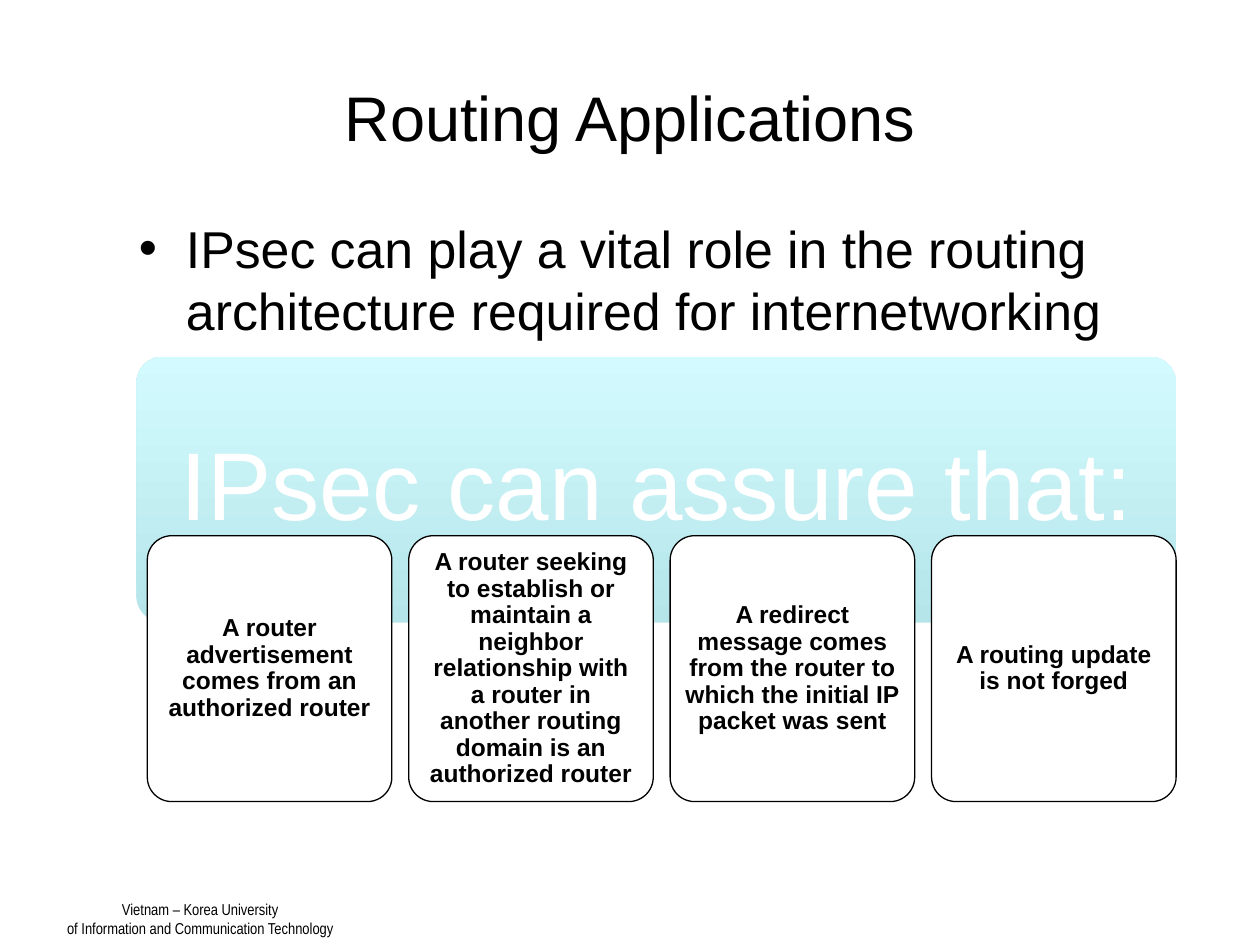
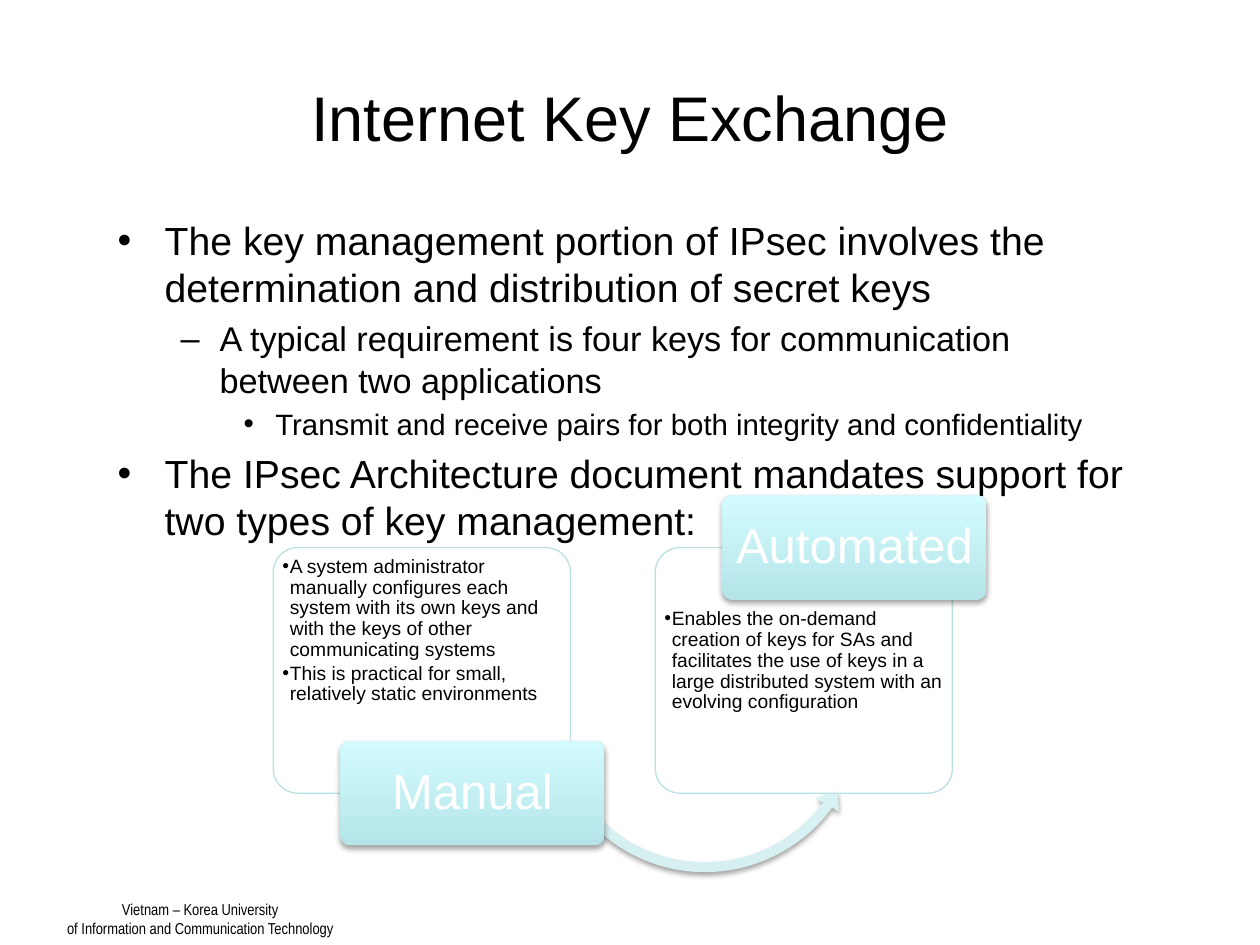
"""Build two slides on IPsec routing applications and key exchange."""
import dataclasses

import pptx
import pptx.dml.color
import pptx.enum.shapes
import pptx.enum.text
import pptx.oxml
import pptx.oxml.ns
import pptx.util

Cm, Pt = pptx.util.Cm, pptx.util.Pt
MSO_SHAPE = pptx.enum.shapes.MSO_SHAPE
ALIGN = pptx.enum.text.PP_ALIGN
ANCHOR = pptx.enum.text.MSO_ANCHOR
qn = pptx.oxml.ns.qn

FOOTER = ["Vietnam – Korea University", "of Information and Communication Technology"]

ROUTING = {
    "title": "Routing Applications",
    "points": [(0, "IPsec can play a vital role in the routing architecture required for internetworking")],
    "claim": "IPsec can assure that:",
    "assurances": [
        "A router advertisement comes from an authorized router",
        "A router seeking to establish or maintain a neighbor relationship with a router in another "
        "routing domain is an authorized router",
        "A redirect message comes from the router to which the initial IP packet was sent",
        "A routing update is not forged",
    ],
}

KEY_EXCHANGE = {
    "title": "Internet Key Exchange",
    "points": [
        (0, "The key management portion of IPsec involves the determination and distribution of secret keys"),
        (1, "A typical requirement is four keys for communication between two applications"),
        (2, "Transmit and receive pairs for both integrity and confidentiality"),
        (0, "The IPsec Architecture document mandates support for two types of key management:"),
    ],
    "manual": ("Manual", [
        "A system administrator manually configures each system with its own keys and with the keys "
        "of other communicating systems",
        "This is practical for small, relatively static environments",
    ]),
    "automated": ("Automated", [
        "Enables the on-demand creation of keys for SAs and facilitates the use of keys in a large "
        "distributed system with an evolving configuration",
    ]),
}


@dataclasses.dataclass(frozen=True)
class Theme:
    font: str = "Arial"
    footer_font: str = "Arial Narrow"
    ink: str = "000000"
    paper: str = "FFFFFF"
    edge: str = "BBE0E3"
    panel: tuple = ("B5E5E9", "D3FBFF")
    arrow: tuple = ("D6F0F2", "E5FDFF")
    title: float = 36
    routing_sizes: tuple = (29.6,)
    exchange_sizes: tuple = (22.4, 19.6, 16.8)
    claim: float = 55
    assurance: float = 14
    label: float = 28
    detail: float = 11
    footer: float = 9
    tight: float = 0.9


THEME = Theme()
BODY_LEVELS = [("•", 0.95, 0.95), ("–", 2.06, 0.79), ("•", 3.18, 0.64)]
DETAIL_LEVELS = [("•", 0.15, 0.15)]

CARD_LEFT, CARD_TOP, CARD_PITCH = 2.97, 10.8, 5.27
CARD_WIDTH, CARD_HEIGHT = 4.93, 5.36
DETAIL_LEFT, DETAIL_TOP, DETAIL_PITCH = 5.51, 11.04, 7.7
DETAIL_WIDTH, DETAIL_HEIGHT = 5.99, 4.95
LABEL_SHIFT, LABEL_WIDTH, LABEL_HEIGHT = 1.35, 5.33, 2.11


def rgb(code):
    return pptx.dml.color.RGBColor.from_string(code)


def add_bullet(paragraph, mark, left, hanging):
    properties = paragraph._p.get_or_add_pPr()
    properties.set("marL", str(Cm(left)))
    properties.set("indent", str(-Cm(hanging)))
    for tag, attributes in (("a:buFont", {"typeface": THEME.font}), ("a:buChar", {"char": mark})):
        properties.append(properties.makeelement(qn(tag), attributes))


def write(box, text, sizes, levels=None, font=THEME.font, color=THEME.ink, bold=False,
          align=ALIGN.LEFT, anchor=ANCHOR.MIDDLE, insets=(0.25, 0.13, 0.25, 0.13),
          spacing=None, before=0, after=0, wrap=True):
    frame = box.text_frame
    frame.word_wrap = wrap
    frame.vertical_anchor = anchor
    frame.margin_left, frame.margin_top, frame.margin_right, frame.margin_bottom = map(Cm, insets)
    for index, (level, words) in enumerate(text):
        paragraph = frame.add_paragraph() if index else frame.paragraphs[0]
        size = sizes[level]
        paragraph.alignment = align
        if spacing:
            paragraph.line_spacing = spacing
        if index and before:
            paragraph.space_before = Pt(round(before * size, 1))
        if after:
            paragraph.space_after = Pt(round(after * size, 1))
        if levels:
            add_bullet(paragraph, *levels[level])
        run = paragraph.add_run()
        run.text = words
        run.font.name, run.font.size, run.font.bold = font, Pt(size), bold
        run.font.color.rgb = rgb(color)


def flat(lines):
    return [(0, line) for line in lines]


def add_textbox(slide, left, top, width, height, text, sizes, **style):
    box = slide.shapes.add_textbox(Cm(left), Cm(top), Cm(width), Cm(height))
    write(box, text, sizes, **style)


def add_figure(slide, kind, left, top, width, height, adjustments, fill, line=None,
               opacity=100, raised=False):
    figure = slide.shapes.add_shape(kind, Cm(left), Cm(top), Cm(width), Cm(height))
    for index, value in enumerate(adjustments):
        figure.adjustments[index] = value
    if isinstance(fill, tuple):
        figure.fill.gradient()
        figure.fill.gradient_angle = 90
        for position, (stop, code) in enumerate(zip(figure.fill.gradient_stops, fill)):
            stop.position = position
            stop.color.rgb = rgb(code)
    else:
        figure.fill.solid()
        figure.fill.fore_color.rgb = rgb(fill)
    properties = figure._element.spPr
    if opacity < 100:
        paint = properties.find(qn("a:solidFill")).find(qn("a:srgbClr"))
        paint.append(paint.makeelement(qn("a:alpha"), {"val": str(opacity * 1000)}))
    if line:
        figure.line.color.rgb = rgb(line)
        figure.line.width = Pt(0.75)
    else:
        figure.line.fill.background()
    figure.shadow.inherit = False
    if raised:
        properties.find(qn("a:effectLst")).append(pptx.oxml.parse_xml(
            f'<a:outerShdw {pptx.oxml.ns.nsdecls("a")} blurRad="{Pt(3.1)}" dist="{Pt(1.8)}" '
            'dir="5400000" rotWithShape="0">'
            '<a:srgbClr val="000000"><a:alpha val="35000"/></a:srgbClr></a:outerShdw>'))
    return figure


def add_panel(slide, left, top, width, height, fill, **look):
    return add_figure(slide, MSO_SHAPE.ROUNDED_RECTANGLE, left, top, width, height, [0.1], fill, **look)


def start_slide(deck, content, body_left, body_height, body_sizes):
    slide = deck.slides.add_slide(deck.slide_layouts[6])
    add_textbox(slide, 1.05, 18.01, 5.97, 1.02, flat(FOOTER), [THEME.footer],
                font=THEME.footer_font, align=ALIGN.CENTER, anchor=ANCHOR.TOP, wrap=False)
    add_textbox(slide, 1.27, 0.76, 22.86, 3.18, flat([content["title"]]), [THEME.title],
                align=ALIGN.CENTER)
    add_textbox(slide, body_left, 4.24, 21.03, body_height, content["points"], body_sizes,
                levels=BODY_LEVELS, anchor=ANCHOR.TOP, before=0.2)
    return slide


def build_routing(deck):
    slide = start_slide(deck, ROUTING, 2.55, 2.51, THEME.routing_sizes)
    claim = add_panel(slide, 2.75, 7.19, 20.96, 5.36, THEME.panel)
    write(claim, flat([ROUTING["claim"]]), [THEME.claim], color=THEME.paper, align=ALIGN.CENTER,
          spacing=THEME.tight, insets=(0.58,) * 4)
    for index, assurance in enumerate(ROUTING["assurances"]):
        card = add_panel(slide, CARD_LEFT + index * CARD_PITCH, CARD_TOP, CARD_WIDTH, CARD_HEIGHT,
                         THEME.paper, line=THEME.ink)
        write(card, flat([assurance]), [THEME.assurance], bold=True, align=ALIGN.CENTER,
              spacing=THEME.tight, insets=(0.15,) * 4)


def add_detail(slide, column, lines, top_inset):
    detail = add_panel(slide, DETAIL_LEFT + column * DETAIL_PITCH, DETAIL_TOP, DETAIL_WIDTH,
                       DETAIL_HEIGHT, THEME.paper, line=THEME.edge, opacity=90)
    write(detail, flat(lines), [THEME.detail], levels=DETAIL_LEVELS, anchor=ANCHOR.TOP,
          spacing=THEME.tight, after=0.15, insets=(0.04, top_inset, 0, 0.04))


def add_label(slide, column, name, edge):
    label = add_panel(slide, DETAIL_LEFT + column * DETAIL_PITCH + LABEL_SHIFT,
                      edge - LABEL_HEIGHT / 2, LABEL_WIDTH, LABEL_HEIGHT, THEME.panel, raised=True)
    write(label, flat([name]), [THEME.label], color=THEME.paper, align=ALIGN.CENTER,
          spacing=THEME.tight, insets=(0.15, 0.1, 0.15, 0.1))


def build_key_exchange(deck):
    slide = start_slide(deck, KEY_EXCHANGE, 2.12, 6.35, THEME.exchange_sizes)
    manual, manual_lines = KEY_EXCHANGE["manual"]
    automated, automated_lines = KEY_EXCHANGE["automated"]
    add_detail(slide, 0, manual_lines, 0.04)
    add_figure(slide, MSO_SHAPE.LEFT_CIRCULAR_ARROW, 10.87, 11.07, 6.68, 6.68,
               [0.03, 4.02, 21.78, 90.25, 0.04], THEME.arrow, raised=True)
    add_label(slide, 0, manual, DETAIL_TOP + DETAIL_HEIGHT)
    add_detail(slide, 1, automated_lines, 0.04 + LABEL_HEIGHT / 2)
    add_label(slide, 1, automated, DETAIL_TOP)


def main():
    deck = pptx.Presentation()
    deck.slide_width, deck.slide_height = Cm(25.4), Cm(19.05)
    build_routing(deck)
    build_key_exchange(deck)
    deck.save("out.pptx")


if __name__ == "__main__":
    main()
